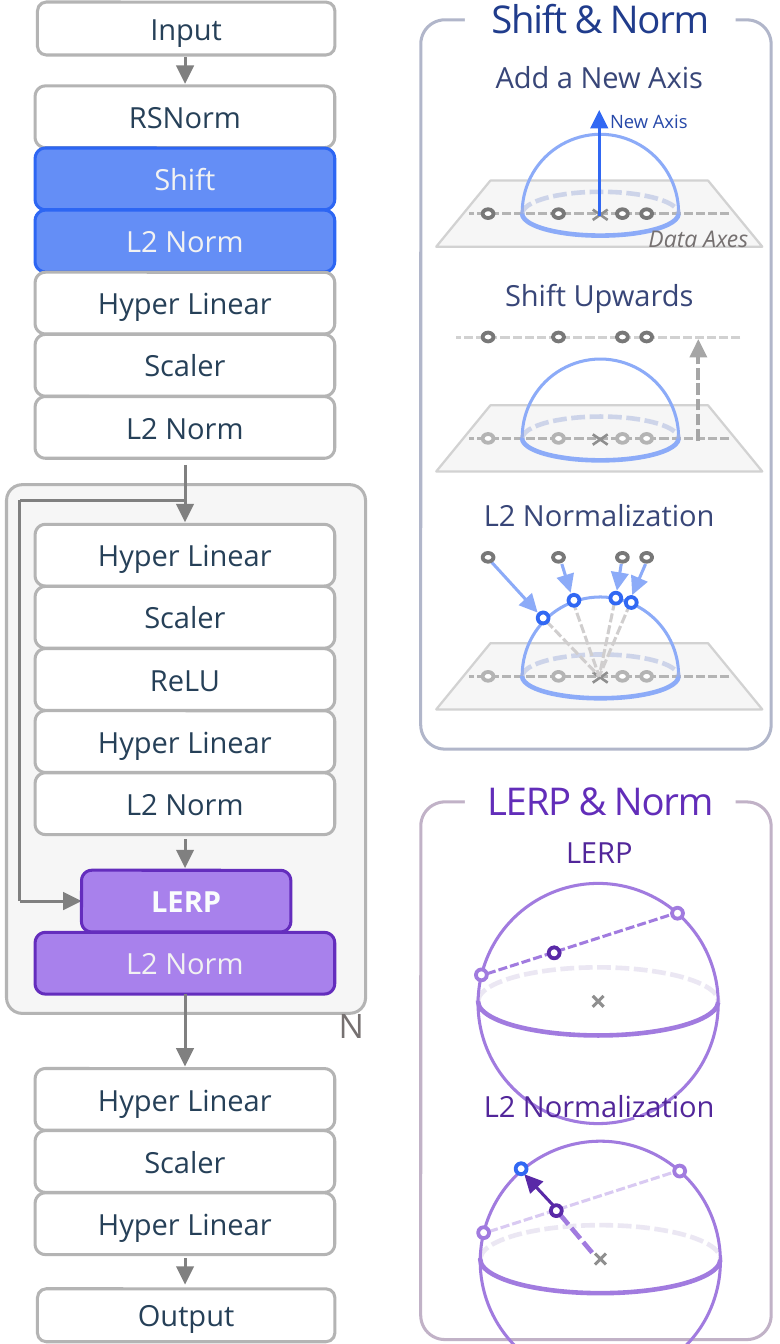
from lxml import etree
from pptx import Presentation
from pptx import util as u
from pptx.dml.color import RGBColor
from pptx.enum import dml, shapes, text
from pptx.oxml.ns import qn

colour = RGBColor.from_string
Kind = shapes.MSO_SHAPE
TOP, MIDDLE = text.MSO_ANCHOR.TOP, text.MSO_ANCHOR.MIDDLE

presentation = Presentation()
presentation.slide_width = u.Inches(3.54)
presentation.slide_height = u.Inches(6.1)
slide = presentation.slides.add_slide(presentation.slide_layouts[6])


def draw(kind, left, top, width, height, fill=None, line=None, weight=1.0, dash=False,
         adjust=(), label="", size=9.5, ink="264058", anchor=TOP):
    """Add a preset shape, or a text box when kind is None."""
    box = [u.Inches(value) for value in (left, top, width, height)]
    shape = slide.shapes.add_shape(kind, *box) if kind else slide.shapes.add_textbox(*box)
    shape.shadow.inherit = False
    for index, value in enumerate(adjust):
        shape.adjustments[index] = value
    if fill:
        shape.fill.solid()
        shape.fill.fore_color.rgb = colour(fill)
    else:
        shape.fill.background()
    if line:
        shape.line.color.rgb = colour(line)
        shape.line.width = u.Pt(weight)
        if dash:
            shape.line.dash_style = dml.MSO_LINE.SQUARE_DOT
    else:
        shape.line.fill.background()
    if label:
        frame = shape.text_frame
        frame.word_wrap = True
        frame.vertical_anchor = anchor
        frame.margin_left = frame.margin_right = 0
        frame.margin_top = frame.margin_bottom = u.Inches(0.05)
        frame.text = label
        paragraph = frame.paragraphs[0]
        paragraph.alignment = text.PP_ALIGN.CENTER
        font = paragraph.runs[0].font
        font.name, font.size, font.color.rgb = "Open Sans", u.Pt(size), colour(ink)
    return shape


def connect(x1, y1, x2, y2, line, weight=1.0, dash=False, arrow=False):
    """Add a straight line, with an optional arrowhead at its end."""
    ends = [u.Inches(value) for value in (x1, y1, x2, y2)]
    connector = slide.shapes.add_connector(shapes.MSO_CONNECTOR.STRAIGHT, *ends)
    connector.line.color.rgb = colour(line)
    connector.line.width = u.Pt(weight)
    if dash:
        connector.line.dash_style = dml.MSO_LINE.SQUARE_DOT
    if arrow:
        etree.SubElement(connector.line._get_or_add_ln(), qn("a:tailEnd"), type="triangle")
    etree.SubElement(connector._element.spPr, qn("a:effectLst"))


# Repeated block and its skip connection
draw(Kind.ROUNDED_RECTANGLE, 0.03, 2.2, 1.63, 2.4, "F6F6F6", "B4B4B4", adjust=[0.044])
draw(None, 1.43, 4.51, 0.33, 0.3, label="N", size=11, ink="767171")
connect(0.84, 2.27, 0.09, 2.27, "808080")
connect(0.09, 2.27, 0.09, 4.09, "808080")
connect(0.09, 4.09, 0.37, 4.09, "808080", arrow=True)

# Network layers, stacked in groups
PLAIN = ("FFFFFF", "B4B4B4", "264058")
BLUE = ("648EF6", "2D66F3", "F2F2F2")
PURPLE = ("A881EC", "642DBD", "F2F2F2")
layer_step = (1.8 - 0.39) / 5
layer_groups = [
    (0.39, ["RSNorm", "Shift", "L2 Norm", "Hyper Linear", "Scaler", "L2 Norm"]),
    (2.38, ["Hyper Linear", "Scaler", "ReLU", "Hyper Linear", "L2 Norm"]),
    (3.95, ["LERP", "L2 Norm"]),
    (4.85, ["Hyper Linear", "Scaler", "Hyper Linear"]),
]
for group_top, names in layer_groups:
    for row, name in enumerate(names):
        style = PLAIN
        if group_top == 0.39 and row in (1, 2):
            style = BLUE
        elif group_top == 3.95:
            style = PURPLE
        fill, line, ink = style
        left, width = (0.37, 0.95) if name == "LERP" else (0.16, 1.36)
        layer = draw(Kind.ROUNDED_RECTANGLE, left, group_top + row * layer_step, width, 0.28,
                     fill, line, label=name, ink=ink, anchor=MIDDLE)
        if name == "LERP":
            font = layer.text_frame.paragraphs[0].runs[0].font
            font.bold, font.color.rgb = True, colour("FAFDFD")
for name, top in [("Input", 0.01), ("Output", 5.85)]:
    draw(Kind.ROUNDED_RECTANGLE, 0.17, top, 1.35, 0.24, line="B4B4B4", label=name, anchor=MIDDLE)
for start, end in [(0.26, 0.38), (2.11, 2.37), (3.81, 3.94), (4.51, 4.84), (5.71, 5.83)]:
    connect(0.84, start, 0.84, end, "808080", arrow=True)

# Panels with titles set into the frame
for top, height, line, title, ink in [(0.09, 3.31, "B1B6CA", "Shift & Norm", "203C8C"),
                                      (3.64, 2.44, "C1B2C7", "LERP & Norm", "622DB9")]:
    draw(Kind.ROUNDED_RECTANGLE, 1.91, top, 1.59, height, line=line, adjust=[0.069])
    heading = draw(Kind.RECTANGLE, 2.11, top - 0.16, 1.23, 0.32, "FFFFFF",
                   label=title, size=12.5, ink=ink)
    heading.text_frame.paragraphs[0].runs[0]._r.get_or_add_rPr().set("spc", "-40")

# Shift & Norm: a dome on a plane in each step
LOWER_HALF, UPPER_HALF = (0.257, 108.071), (107.759, 1.0)
dot_lefts = [2.19, 2.51, 2.8, 2.91]
for title, title_top, axis, dot_line in [("Add a New Axis", 0.22, 0.97, "787878"),
                                         ("Shift Upwards", 1.21, 1.99, "B4B4B4"),
                                         ("L2 Normalization", 2.21, 3.07, "B4B4B4")]:
    draw(None, 1.86, title_top, 1.72, 0.26, label=title, ink="384678")
    draw(Kind.TRAPEZOID, 1.98, axis - 0.15, 1.48, 0.3, "F6F6F6", "D2D2D2", 0.75, adjust=[0.82])
    connect(3.31, axis, 2.13, axis, "B4B4B4", dash=True)
    for left in dot_lefts:
        draw(Kind.OVAL, left, axis - 0.02, 0.05, 0.04, "FFFFFF", dot_line, 1.25)
    draw(Kind.ARC, 2.37, axis - 0.36, 0.71, 0.71, line="8CABF8", adjust=UPPER_HALF)
    draw(Kind.MATH_MULTIPLY, 2.66, axis - 0.04, 0.13, 0.09, "8F8F8F", adjust=[0.129])
    draw(Kind.ARC, 2.37, axis - 0.1, 0.71, 0.2, line="8CABF8", weight=1.5, adjust=LOWER_HALF)
    rim = draw(Kind.ARC, 2.37, axis - 0.1, 0.71, 0.2, line="A6B3DE", weight=1.5,
               dash=True, adjust=LOWER_HALF)
    rim.rotation = 180
    for rim_colour in rim._element.spPr.iter(qn("a:srgbClr")):
        etree.SubElement(rim_colour, qn("a:alpha"), val="49000")

# New axis and shift arrow
connect(2.72, 0.98, 2.72, 0.5, "3168F3", arrow=True)
draw(None, 2.66, 0.45, 0.57, 0.2, label="New Axis", size=6, ink="2749A9")
data_axes = draw(None, 2.8, 0.97, 0.74, 0.24, label="Data Axes", size=7.5, ink="767171")
data_axes.text_frame.paragraphs[0].runs[0].font.italic = True
connect(3.36, 1.53, 2.07, 1.53, "D1D1D1", dash=True)
connect(3.17, 2, 3.17, 1.54, "A6A6A6", 1.25, dash=True, arrow=True)

# Projection of the shifted points onto the dome
for x1, y1, x2, y2 in [(2.23, 2.55, 2.44, 2.78), (2.55, 2.56, 2.59, 2.69),
                       (2.82, 2.56, 2.8, 2.68), (2.93, 2.56, 2.87, 2.7)]:
    connect(x1, y1, x2, y2, "8CABF8", arrow=True)
for top in (1.51, 2.51):
    for left in dot_lefts:
        draw(Kind.OVAL, left, top, 0.05, 0.04, "FFFFFF", "787878", 1.25)
for x, y in [(2.48, 2.82), (2.6, 2.73), (2.79, 2.73), (2.86, 2.74)]:
    connect(x, y, 2.72, 3.07, "D0CECE", dash=True)
for left, top in [(2.44, 2.78), (2.58, 2.7), (2.77, 2.69), (2.84, 2.71)]:
    draw(Kind.OVAL, left, top, 0.05, 0.05, "FFFFFF", "3168F3", 1.25)

# LERP & Norm: a globe with two points and their interpolation
for title, title_top, dx, dy, chord in [("LERP", 3.74, 0, 0, "A17BDF"),
                                        ("L2 Normalization", 4.89, 0.01, 1.17, "D9CAF2")]:
    back = draw(Kind.ARC, 2.17 + dx, 4.39 + dy, 1.09, 0.31, line="EBE7F3", weight=1.5,
                dash=True, adjust=LOWER_HALF)
    back.rotation = 180
    draw(Kind.ARC, 2.17 + dx, 4.01 + dy, 1.09, 1.09, line="A17BDF", adjust=(43.5, 41.602))
    draw(Kind.ARC, 2.17 + dx, 4.39 + dy, 1.09, 0.31, line="A17BDF", weight=1.5, adjust=LOWER_HALF)
    draw(None, 1.86, title_top, 1.72, 0.26, label=title, ink="52269A")
    centre = draw(Kind.CROSS, 2.68 + dx, 4.51 + dy, 0.07, 0.07, "8F8F8F", adjust=[0.401])
    centre.rotation = 45
    connect(2.21 + dx, 4.42 + dy, 3.05 + dx, 4.15 + dy, chord, dash=True)
    if dy:
        connect(2.54, 5.51, 2.7, 5.7, "A17BDF", 1.5, dash=True)
        connect(2.51, 5.47, 2.38, 5.33, "5929A7", arrow=True)
        draw(Kind.OVAL, 2.34, 5.28, 0.05, 0.05, "FFFFFF", "3168F3", 1.25)
    for left, top, line in [(2.16, 4.4, "A17BDF"), (3.05, 4.12, "A17BDF"), (2.49, 4.3, "5929A7")]:
        draw(Kind.OVAL, left + dx, top + dy, 0.05, 0.05, "FFFFFF", line, 1.25)

presentation.save("out.pptx")
